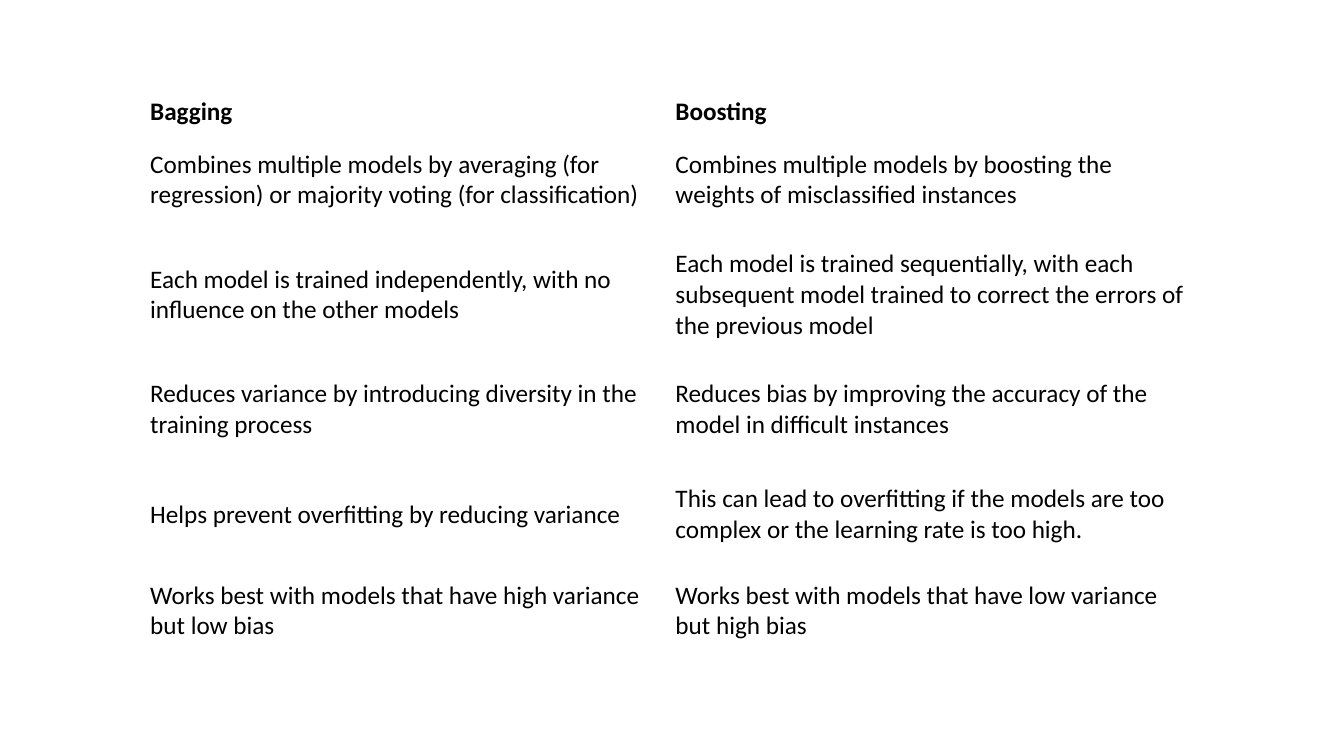
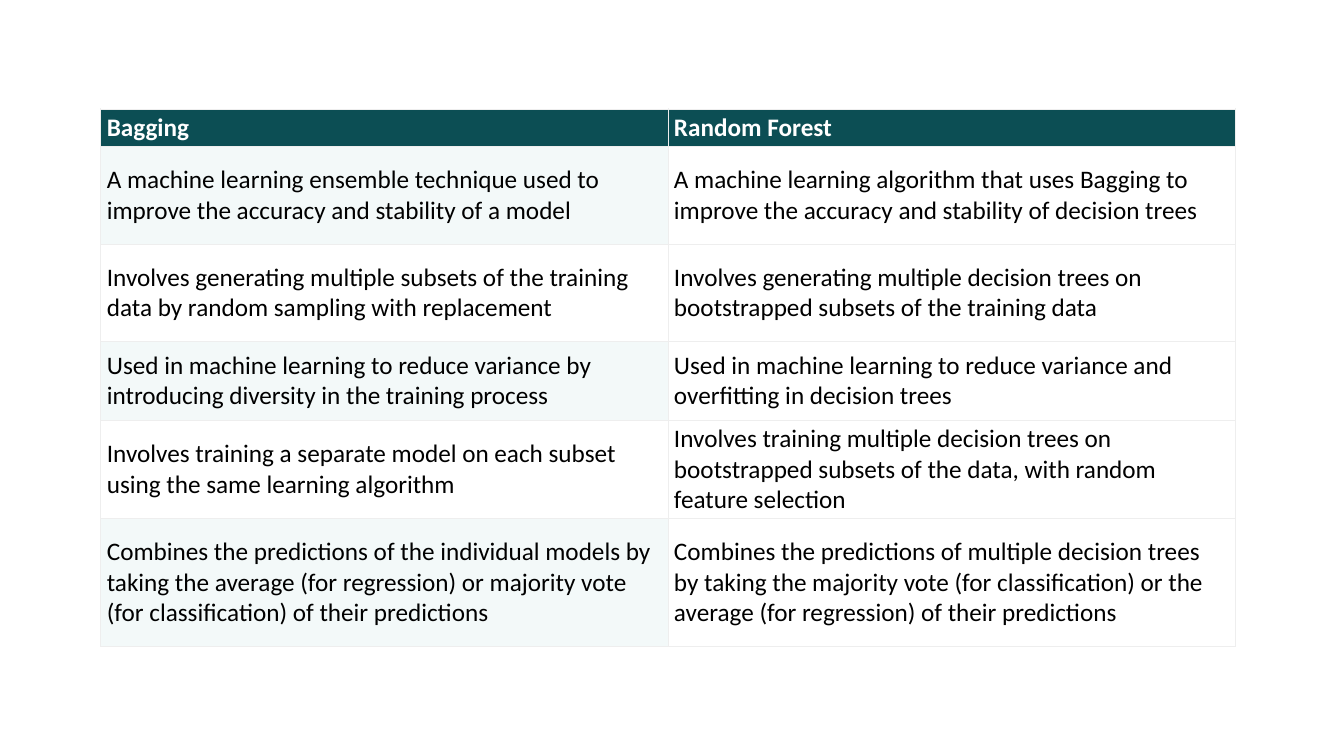
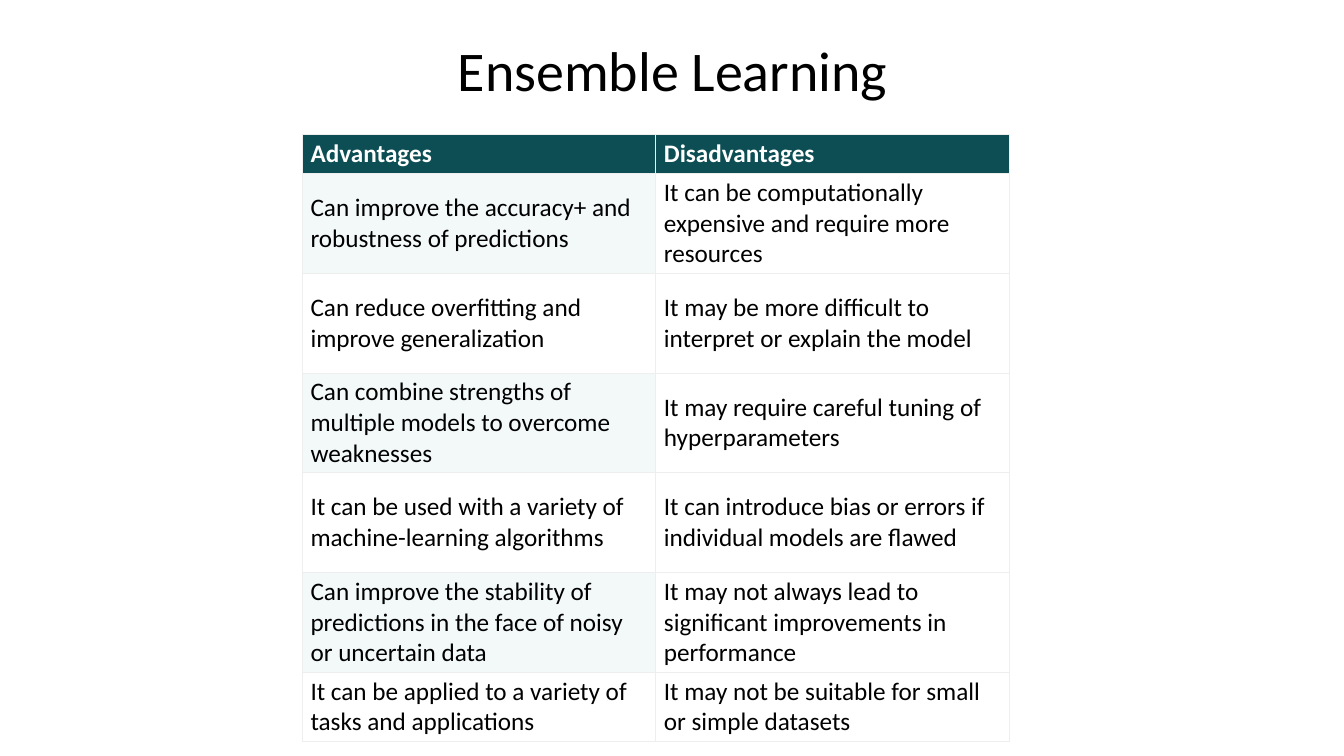
"""Build three slides of two-column tables on ensemble learning."""
from dataclasses import dataclass
from typing import Optional

from lxml.etree import SubElement
from pptx import Presentation
from pptx.dml.color import RGBColor
from pptx.enum.text import MSO_ANCHOR, PP_ALIGN
from pptx.oxml.ns import qn
from pptx.util import Inches, Pt

COLORS = {
    "text": "000000",
    "header_text": "FFFFFF",
    "header": "0C4E54",
    "band": "F3F9F9",
    "border": "EEEEEE",
}
FONT = "Calibri"
BODY_SIZE = 18
TITLE_SIZE = 40
BORDER_WIDTH = 0.6


@dataclass(frozen=True)
class Comparison:
    left: float
    top: float
    width: float
    heights: tuple[float, ...]
    margin_x: float
    margin_y: float
    rows: tuple[tuple[str, str], ...]
    styled: bool = True
    title: Optional[str] = None


COMPARISONS = (
    Comparison(
        1.42, 0.92, 10.42, (0.37, 0.96, 1.32, 0.95, 1.14, 0.77), 0.07, 0.04,
        (
            ("Bagging", "Boosting"),
            ("Combines multiple models by averaging (for regression) or majority voting (for classification)",
             "Combines multiple models by boosting the weights of misclassified instances"),
            ("Each model is trained independently, with no influence on the other models",
             "Each model is trained sequentially, with each subsequent model trained to correct "
             "the errors of the previous model"),
            ("Reduces variance by introducing diversity in the training process",
             "Reduces bias by improving the accuracy of the model in difficult instances"),
            ("Helps prevent overfitting by reducing variance",
             "This can lead to overfitting if the models are too complex or the learning rate is too high."),
            ("Works best with models that have high variance but low bias",
             "Works best with models that have low variance but high bias"),
        ),
        styled=False,
    ),
    Comparison(
        1, 1.08, 11.25, (0.37, 0.97, 0.97, 0.78, 0.97, 1.27), 0.06, 0.03,
        (
            ("Bagging", "Random Forest"),
            ("A machine learning ensemble technique used to improve the accuracy and stability of a model",
             "A machine learning algorithm that uses Bagging to improve the accuracy and stability "
             "of decision trees"),
            ("Involves generating multiple subsets of the training data by random sampling with replacement",
             "Involves generating multiple decision trees on bootstrapped subsets of the training data"),
            ("Used in machine learning to reduce variance by introducing diversity in the training process",
             "Used in machine learning to reduce variance and overfitting in decision trees"),
            ("Involves training a separate model on each subset using the same learning algorithm",
             "Involves training multiple decision trees on bootstrapped subsets of the data, "
             "with random feature selection"),
            ("Combines the predictions of the individual models by taking the average (for regression) "
             "or majority vote (for classification) of their predictions",
             "Combines the predictions of multiple decision trees by taking the majority vote "
             "(for classification) or the average (for regression) of their predictions"),
        ),
    ),
    Comparison(
        3, 1.33, 7.01, (0.39, *[0.99] * 5, 0.69), 0.08, 0.04,
        (
            ("Advantages", "Disadvantages"),
            ("Can improve the accuracy+ and robustness of predictions",
             "It can be computationally expensive and require more resources"),
            ("Can reduce overfitting and improve generalization",
             "It may be more difficult to interpret or explain the model"),
            ("Can combine strengths of multiple models to overcome weaknesses",
             "It may require careful tuning of hyperparameters"),
            ("It can be used with a variety of machine-learning algorithms",
             "It can introduce bias or errors if individual models are flawed"),
            ("Can improve the stability of predictions in the face of noisy or uncertain data",
             "It may not always lead to significant improvements in performance"),
            ("It can be applied to a variety of tasks and applications",
             "It may not be suitable for small or simple datasets"),
        ),
        title="Ensemble Learning",
    ),
)


def add_run(p, text: str, size: float, color: str, bold: bool = False) -> None:
    r = p.add_run()
    r.text = text
    r.font.name = FONT
    r.font.size = Pt(size)
    r.font.bold = bold
    r.font.color.rgb = RGBColor.from_string(COLORS[color])


def add_title(s, text: str) -> None:
    sp = s.shapes.add_textbox(Inches(0.67), Inches(0.3), Inches(12), Inches(1.25))
    tf = sp.text_frame
    tf.word_wrap = True
    p = tf.paragraphs[0]
    p.alignment = PP_ALIGN.CENTER
    add_run(p, text, TITLE_SIZE, "text")


def add_borders(cell) -> None:
    tc_pr = cell._tc.get_or_add_tcPr()
    for side in ("a:lnL", "a:lnR", "a:lnT", "a:lnB"):
        ln = SubElement(tc_pr, qn(side), w=str(Pt(BORDER_WIDTH)))
        fill = SubElement(ln, qn("a:solidFill"))
        SubElement(fill, qn("a:srgbClr"), val=COLORS["border"])


def fill_cell(cell, color: Optional[str]) -> None:
    if color is None:
        cell.fill.background()
    else:
        cell.fill.solid()
        cell.fill.fore_color.rgb = RGBColor.from_string(COLORS[color])


def cell_fill(row: int, col: int, styled: bool) -> Optional[str]:
    if not styled:
        return None
    if row == 0:
        return "header"
    return "band" if col == 0 and row % 2 else None


def add_comparison(s, item: Comparison) -> None:
    columns = len(item.rows[0])
    table = s.shapes.add_table(
        len(item.rows), columns, Inches(item.left), Inches(item.top),
        Inches(item.width), Inches(sum(item.heights)),
    ).table
    table.first_row = table.horz_banding = False
    for column in table.columns:
        column.width = Inches(item.width / columns)
    for row, (height, texts) in enumerate(zip(item.heights, item.rows)):
        table.rows[row].height = Inches(height)
        for col, text in enumerate(texts):
            cell = table.cell(row, col)
            cell.margin_left = cell.margin_right = Inches(item.margin_x)
            cell.margin_top = cell.margin_bottom = Inches(item.margin_y)
            cell.vertical_anchor = MSO_ANCHOR.MIDDLE
            if item.styled:
                add_borders(cell)
            fill = cell_fill(row, col, item.styled)
            fill_cell(cell, fill)
            color = "header_text" if fill == "header" else "text"
            add_run(cell.text_frame.paragraphs[0], text, BODY_SIZE, color, row == 0)


def main() -> None:
    prs = Presentation()
    prs.slide_width = Inches(13.33)
    prs.slide_height = Inches(7.5)
    for item in COMPARISONS:
        s = prs.slides.add_slide(prs.slide_layouts[6])
        if item.title:
            add_title(s, item.title)
        add_comparison(s, item)
    prs.save("out.pptx")


if __name__ == "__main__":
    main()
